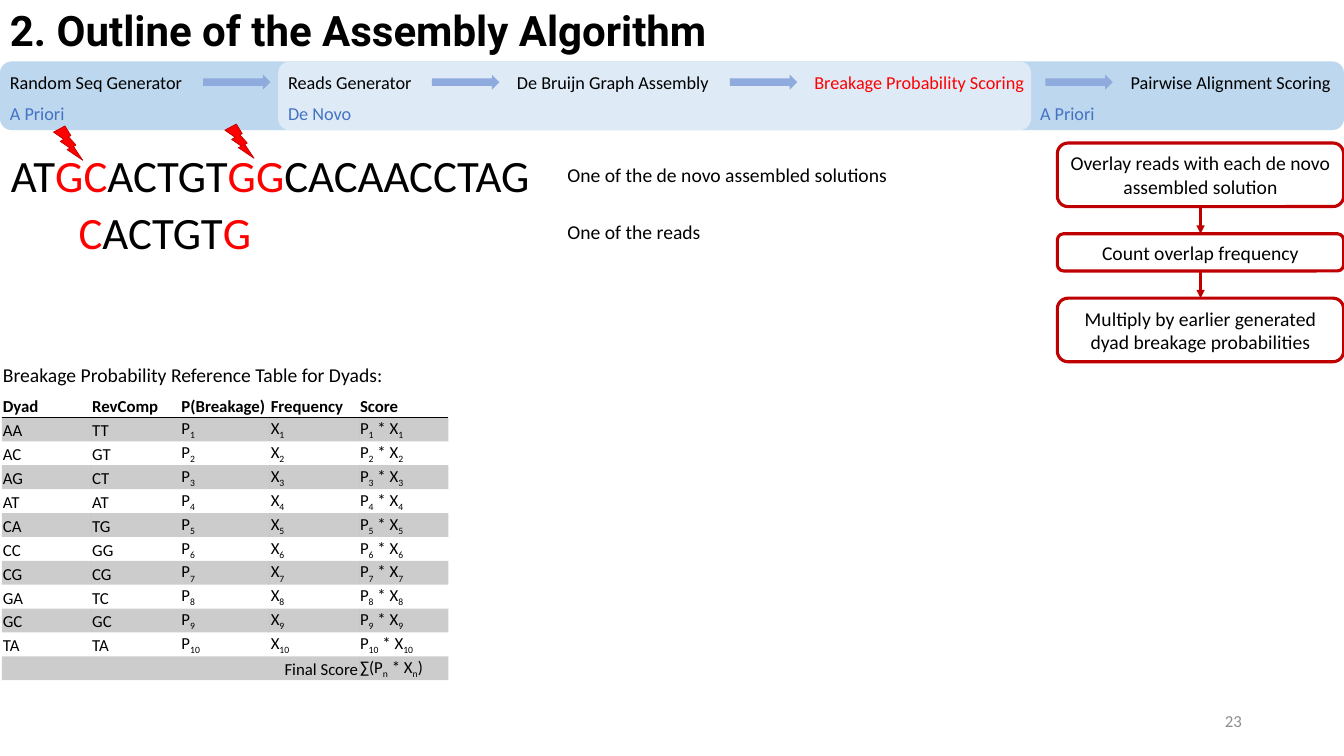
from itertools import pairwise

from lxml import etree
from pptx import Presentation
from pptx import util as u
from pptx.dml.color import RGBColor
from pptx.enum import shapes, text
from pptx.oxml import ns

COLORS = {
    "black": "000000", "red": "FF0000", "crimson": "C00000", "grey": "8C8C8C",
    "blue": "4472C4", "arrow": "8FAADC", "a_priori": "BDD7EE", "de_novo": "DEEBF7",
}
FORM = shapes.MSO_SHAPE
LEFT, CENTER, RIGHT = text.PP_ALIGN.LEFT, text.PP_ALIGN.CENTER, text.PP_ALIGN.RIGHT
STAGES = [
    ("Random Seq Generator", 0, 139.7, "black"),
    ("Reads Generator", 198.7, 104.4, "black"),
    ("De Bruijn Graph Assembly", 362.2, 154.1, "black"),
    ("Breakage Probability Scoring", 574.6, 166.3, "red"),
    ("Pairwise Alignment Scoring", 800.6, 159.1, "black"),
]
PHASES = [("A Priori", 0, 54), ("De Novo", 198.7, 60.5), ("A Priori", 735.8, 54)]
STEPS = [
    ("Overlay reads with each de novo assembled solution", 45.4),
    ("Count overlap frequency", 26.6),
    ("Multiply by earlier generated dyad breakage probabilities", 45.4),
]
HEADERS = ["Dyad", "RevComp", "P(Breakage)", "Frequency", "Score"]
DYADS = ["AA TT", "AC GT", "AG CT", "AT AT", "CA TG",
         "CC GG", "CG CG", "GA TC", "GC GC", "TA TA"]


def rgb(name):
    return RGBColor.from_string(COLORS[name])


def points(*lengths):
    return [u.Pt(length) for length in lengths]


def add_child(parent, tag, **attributes):
    return etree.SubElement(parent, ns.qn(tag), attributes)


def redden(span):
    span.font.color.rgb = rgb("red")


def lower(span):
    span._r.get_or_add_rPr().set("baseline", "-25000")


def write(frame, pieces, size, color="black", bold=False, align=LEFT,
          face="Calibri", accent=None):
    """Alternate plain and accented pieces in one paragraph."""
    para = frame.paragraphs[0]
    para.alignment = align
    para.font.name, para.font.size, para.font.bold = face, u.Pt(size), bold
    para.font.color.rgb = rgb(color)
    for index, piece in enumerate(pieces):
        if piece:
            span = para.add_run()
            span.text = piece
            if index % 2:
                accent(span)


def add_label(page, place, pieces, size, wrap=False, middle=False, **style):
    frame = page.shapes.add_textbox(*points(*place)).text_frame
    frame.word_wrap = wrap
    if middle:
        frame.vertical_anchor = text.MSO_ANCHOR.MIDDLE
    write(frame, pieces, size, **style)


def add_form(page, form, place, fill=None, line=None, weight=1):
    box = page.shapes.add_shape(form, *points(*place))
    box.shadow.inherit = False
    if fill:
        box.fill.solid()
        box.fill.fore_color.rgb = rgb(fill)
    else:
        box.fill.background()
    if line:
        box.line.color.rgb = rgb(line)
        box.line.width = u.Pt(weight)
    else:
        box.line.fill.background()
    return box


def add_arrow(page, x, top, bottom):
    arrow = page.shapes.add_connector(
        shapes.MSO_CONNECTOR.STRAIGHT, *points(x, top, x, bottom))
    arrow.line.color.rgb = rgb("crimson")
    arrow.line.width = u.Pt(1.5)
    properties = arrow._element.spPr
    add_child(properties.find(ns.qn("a:ln")), "a:tailEnd", type="triangle")
    add_child(properties, "a:effectLst")


def add_pipeline(page):
    add_form(page, FORM.ROUNDED_RECTANGLE, (0, 43.9, 960, 49), "a_priori")
    add_form(page, FORM.ROUNDED_RECTANGLE, (198.7, 43.9, 537.8, 49), "de_novo")
    for name, left, width, color in STAGES:
        add_label(page, (left, 47.5, width, 23), [name], 13, color=color)
    for (_, left, width, _), (_, following, _, _) in pairwise(STAGES):
        start = (left + width + following - 48.2) / 2
        add_form(page, FORM.RIGHT_ARROW, (start, 53.3, 48.2, 10.8), "arrow")
    for name, left, width in PHASES:
        add_label(page, (left, 69.8, width, 23), [name], 13, color="blue")


def add_steps(page):
    left, top, width, gap = 755.3, 102.2, 204.5, 19.4
    for index, (name, height) in enumerate(STEPS):
        if index:
            add_arrow(page, left + width / 2, top - gap, top)
        box = add_form(page, FORM.ROUNDED_RECTANGLE, (left, top, width, height),
                       line="crimson", weight=2.25)
        box.text_frame.word_wrap = True
        box.text_frame.vertical_anchor = text.MSO_ANCHOR.MIDDLE
        write(box.text_frame, [name], 14, align=CENTER)
        top += height + gap


def add_sequences(page):
    add_label(page, (0.7, 102.2, 387.4, 46), ["AT", "GC", "ACTGT", "GG", "CACAACCTAG"],
              32, accent=redden)
    add_label(page, (49, 142.6, 138.2, 46), ["", "C", "ACTGT", "G"], 32, accent=redden)
    for left, top in [(38.2, 90), (160.6, 88.6)]:
        add_form(page, FORM.LIGHTNING_BOLT, (left, top, 20.9, 24.5), "red", "crimson", 0.5)
    add_label(page, (398.2, 113, 245.5, 24.5), ["One of the de novo assembled solutions"], 14)
    add_label(page, (398.2, 153.4, 110.9, 24.5), ["One of the reads"], 14)


def format_cell(cell, shaded, underlined):
    cell.margin_left = cell.margin_right = cell.margin_top = u.Pt(0.7)
    cell.margin_bottom = 0
    cell.vertical_anchor = text.MSO_ANCHOR.BOTTOM
    if shaded:
        cell.fill.solid()
        cell.fill.fore_color.rgb = rgb("black")
        color = cell._tc.tcPr.find(".//" + ns.qn("a:srgbClr"))
        add_child(color, "a:alpha", val="20000")
    else:
        cell.fill.background()
    if underlined:
        border = add_child(cell._tc.tcPr, "a:lnB", w=str(u.Pt(1)))
        add_child(add_child(border, "a:solidFill"), "a:srgbClr", val=COLORS["black"])
        cell._tc.tcPr.insert(0, border)


def add_dyad_table(page):
    add_label(page, (-5, 255.6, 288.7, 41), ["Breakage Probability Reference Table for Dyads:"], 14)
    rows = [[[header] for header in HEADERS]]
    for number, pair in enumerate(DYADS, 1):
        dyad, reverse = pair.split()
        n = str(number)
        rows.append([[dyad], [reverse], ["P", n], ["X", n], ["P", n, " * X", n]])
    rows.append([["Final Score"], [], [], [], ["∑(P", "n", " * X", "n", ")"]])

    table = page.shapes.add_table(len(rows), len(HEADERS), *points(1.4, 282.2, 319, 192)).table
    table.first_row = table.horz_banding = False
    table._tbl.tblPr.find(ns.qn("a:tableStyleId")).text = "{2D5ABB26-0587-4C30-8999-92F81FD0307C}"
    for r, row in enumerate(rows):
        for c, pieces in enumerate(row):
            cell = table.cell(r, c)
            format_cell(cell, shaded=r % 2 == 1, underlined=r == 0)
            align = RIGHT if pieces == ["Final Score"] else LEFT
            write(cell.text_frame, pieces, 12, bold=r == 0, align=align, accent=lower)
    last = len(rows) - 1
    table.cell(last, 0).merge(table.cell(last, 3))


def main():
    deck = Presentation()
    deck.slide_width, deck.slide_height = points(960, 540)
    page = deck.slides.add_slide(deck.slide_layouts[6])
    add_pipeline(page)
    add_label(page, (0, 0, 666, 43.9), ["2. Outline of the Assembly Algorithm"], 30,
              wrap=True, bold=True, face="Roboto")
    add_label(page, (678.2, 500.4, 216, 28.8), ["23"], 12,
              wrap=True, middle=True, color="grey", align=RIGHT)
    add_steps(page)
    add_dyad_table(page)
    add_sequences(page)
    deck.save("out.pptx")


main()
